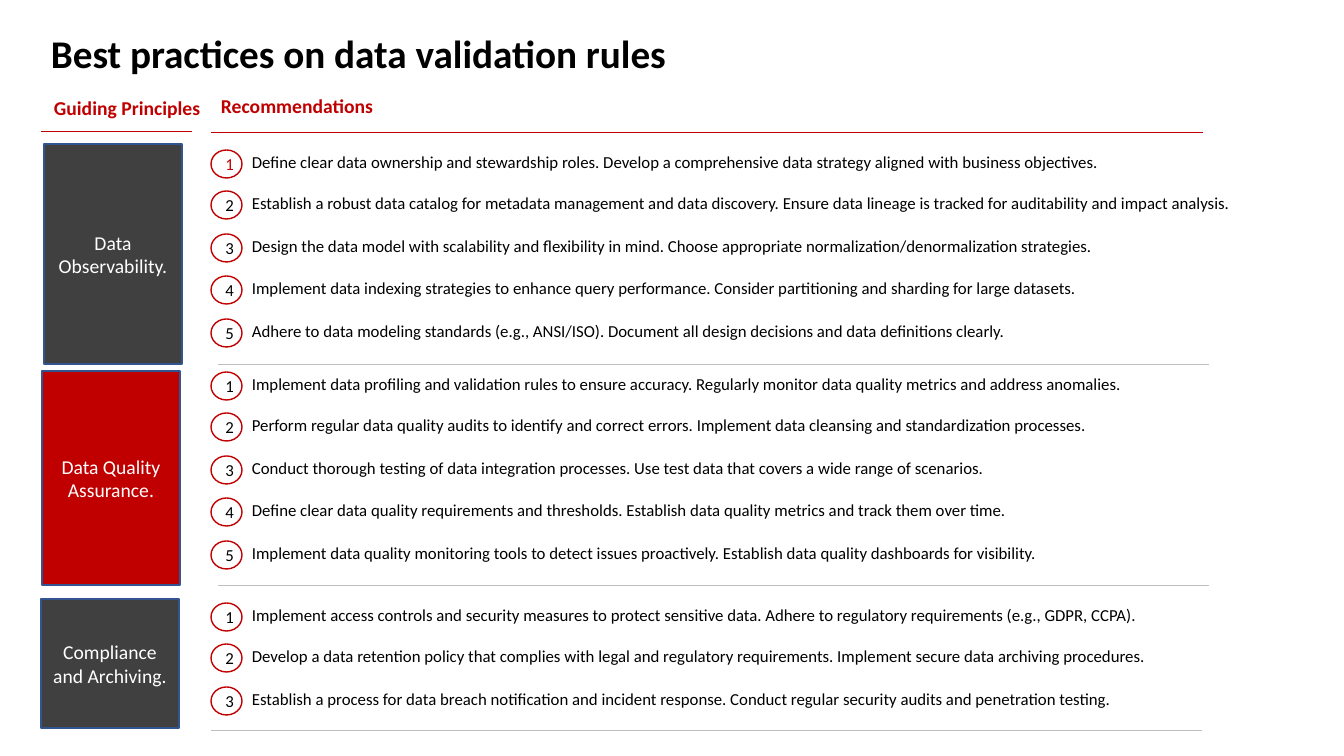
from lxml.etree import SubElement
from pptx import Presentation
from pptx.dml.color import RGBColor
from pptx.enum.shapes import MSO_CONNECTOR as Conn, MSO_SHAPE as Kind
from pptx.enum.text import MSO_ANCHOR as Anchor, MSO_AUTO_SIZE as Fit, PP_ALIGN as Align
from pptx.oxml.ns import qn
from pptx.util import Pt

PX = 914400 / 100.8
HUES = {"red": "C00000", "dark": "404040", "edge": "325491",
        "rule": "BFBFBF", "white": "FFFFFF", "black": "000000"}
STEPS = (0, 41, 84, 126, 169)

# name, bar fill, bar box, top of first badge, rule (left, top), recommendations
GROUPS = [
    ("Data Observability.", "dark", (44, 144, 138, 220), 150, (218, 364), [
        "Define clear data ownership and stewardship roles. Develop a comprehensive data strategy aligned with business objectives.",
        "Establish a robust data catalog for metadata management and data discovery. Ensure data lineage is tracked for auditability and impact analysis.",
        "Design the data model with scalability and flexibility in mind. Choose appropriate normalization/denormalization strategies.",
        "Implement data indexing strategies to enhance query performance. Consider partitioning and sharding for large datasets.",
        "Adhere to data modeling standards (e.g., ANSI/ISO). Document all design decisions and data definitions clearly."]),
    ("Data Quality Assurance.", "red", (42, 371, 138, 214), 372, (218, 585), [
        "Implement data profiling and validation rules to ensure accuracy. Regularly monitor data quality metrics and address anomalies.",
        "Perform regular data quality audits to identify and correct errors. Implement data cleansing and standardization processes.",
        "Conduct thorough testing of data integration processes. Use test data that covers a wide range of scenarios.",
        "Define clear data quality requirements and thresholds. Establish data quality metrics and track them over time.",
        "Implement data quality monitoring tools to detect issues proactively. Establish data quality dashboards for visibility."]),
    ("Compliance and Archiving.", "dark", (41, 599, 138, 129), 603, (211, 730), [
        "Implement access controls and security measures to protect sensitive data. Adhere to regulatory requirements (e.g., GDPR, CCPA).",
        "Develop a data retention policy that complies with legal and regulatory requirements. Implement secure data archiving procedures.",
        "Establish a process for data breach notification and incident response. Conduct regular security audits and penetration testing."]),
]


def emu(*sizes):
    return [round(size * PX) for size in sizes]


def hue(name):
    return RGBColor.from_string(HUES[name])


def write(frame, text, size=12, color="black", bold=False, align=Align.LEFT):
    frame.word_wrap = True
    para = frame.paragraphs[0]
    para.alignment = align
    run = para.add_run()
    run.text = text
    font = run.font
    font.name, font.size, font.bold = "Calibri", Pt(size), bold
    font.color.rgb = hue(color)


def label(slide, box, text, **style):
    frame = slide.shapes.add_textbox(*emu(*box)).text_frame
    write(frame, text, **style)
    frame.auto_size = Fit.SHAPE_TO_FIT_TEXT


def block(slide, kind, box, fill, edge, text, **style):
    shape = slide.shapes.add_shape(kind, *emu(*box))
    shape.shadow.inherit = False
    shape.fill.solid()
    shape.fill.fore_color.rgb = hue(fill)
    shape.line.color.rgb = hue(edge)
    shape.line.width = Pt(1)
    shape.text_frame.vertical_anchor = Anchor.MIDDLE
    write(shape.text_frame, text, align=Align.CENTER, **style)


def rule(slide, left, top, width, color):
    line = slide.shapes.add_connector(Conn.STRAIGHT, *emu(left, top, left + width, top))
    line.line.color.rgb = hue(color)
    line.line.width = Pt(0.5)
    SubElement(line._element.spPr, qn("a:effectLst"))


def header(slide, left, top):
    """Place the title and both column heads from the given corner."""
    label(slide, (left, top, 1245, 57), "Best practices on data validation rules",
          size=28, bold=True)
    head = dict(size=14, color="red", bold=True)
    label(slide, (left + 3, top + 67, 167, 34), "Guiding Principles", **head)
    label(slide, (left + 170, top + 65, 1004, 34), "Recommendations", **head)
    rule(slide, left, top + 107, 151, "red")
    rule(slide, left + 170, top + 108, 992, "red")


def advice(slide, left, top, number, text):
    """Place one numbered recommendation."""
    color = "red" if (number, top) == (1, GROUPS[0][3]) else "black"
    block(slide, Kind.OVAL, (left, top, 31, 28), "white", "red", str(number), color=color)
    label(slide, (left + 31, top - 3, 1058, 30), text)


def group(slide, name, fill, box, top, end, items):
    block(slide, Kind.RECTANGLE, box, fill, "edge", name, size=14, color="white")
    for number, (step, text) in enumerate(zip(STEPS, items), 1):
        advice(slide, 211, top + step, number, text)
    rule(slide, *end, 991, "rule")


def main():
    deck = Presentation()
    deck.slide_width, deck.slide_height = emu(1344, 756)
    slide = deck.slides.add_slide(deck.slide_layouts[6])
    header(slide, 41, 24)
    for part in GROUPS:
        group(slide, *part)
    deck.save("out.pptx")


if __name__ == "__main__":
    main()
